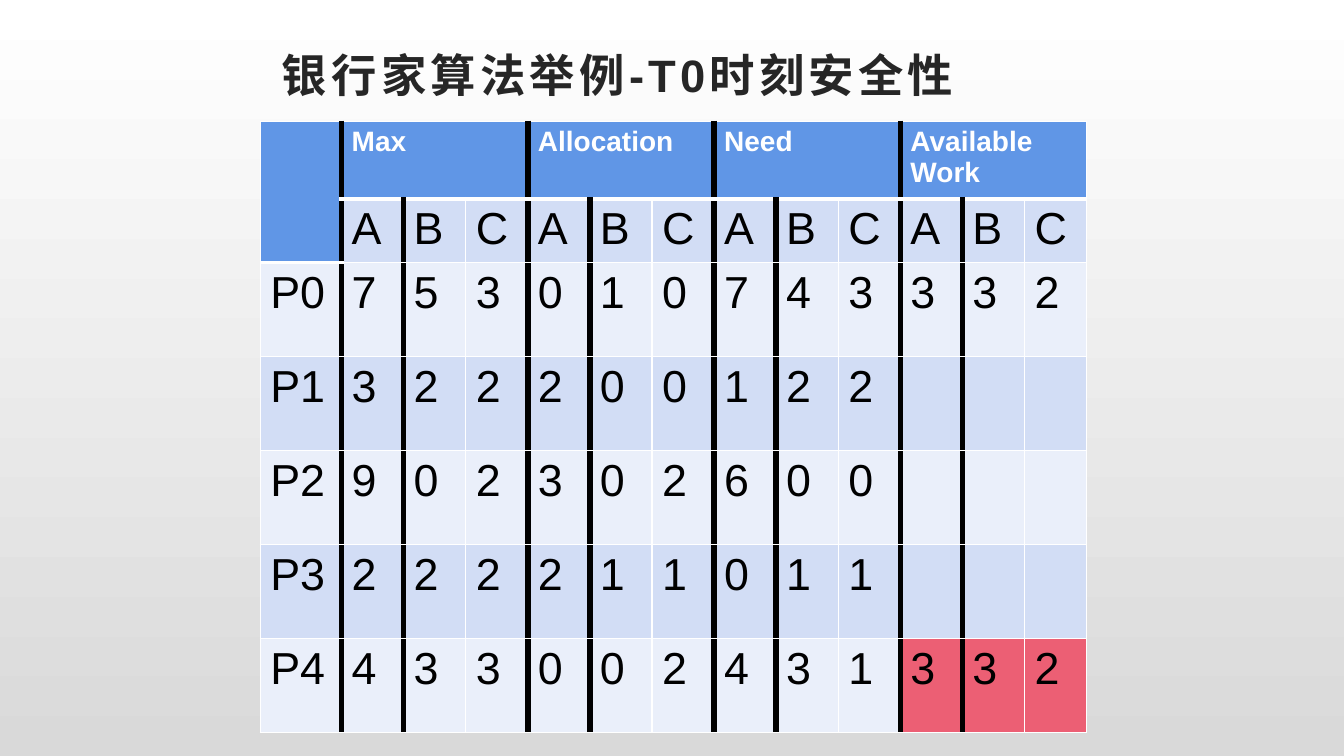
"""Build the slide on the banker's algorithm and its safety at time T0."""
from dataclasses import dataclass

from lxml import etree
from pptx import Presentation
from pptx.dml.color import RGBColor
from pptx.enum.text import MSO_ANCHOR
from pptx.oxml.ns import qn
from pptx.slide import Slide
from pptx.table import Table, _Cell
from pptx.text.text import TextFrame
from pptx.util import Inches, Pt

MIDDLE = MSO_ANCHOR.MIDDLE
WIDE, HIGH = Inches(13.33), Inches(7.5)
COL, ROW = WIDE / 21.64, HIGH / 8.04
HUES = {
    "white": "FFFFFF", "black": "000000", "grey": "D9D9D9", "ink": "262626",
    "blue": "6096E6", "dark": "D2DDF5", "light": "EAEFFA", "red": "EC5F74",
}
KEYS = "ABC"
TASKS = ["P0", "P1", "P2", "P3", "P4"]
SPAN = len(KEYS)


@dataclass
class Group:
    """A headed block of three columns, with one string of digits per task."""
    head: str
    rows: list[str]


GROUPS = [
    Group("Max", ["753", "322", "902", "222", "433"]),
    Group("Allocation", ["010", "200", "302", "211", "002"]),
    Group("Need", ["743", "122", "600", "011", "431"]),
    Group("Available\nWork", ["332", "", "", "", "332"]),
]
LAST = 1 + SPAN * len(GROUPS)


def cols(count: float) -> int:
    """Turn grid columns into a length."""
    return round(count * COL)


def rows(count: float) -> int:
    """Turn grid rows into a length."""
    return round(count * ROW)


def tint(name: str) -> RGBColor:
    """Look up a colour."""
    return RGBColor.from_string(HUES[name])


def write(frame: TextFrame, text: str, *, size: float = 32, hue: str = "black",
          bold: bool = False, gap: int = 0) -> None:
    """Put text in a frame, one paragraph a line."""
    frame.text = text
    for para in frame.paragraphs:
        for run in para.runs:
            font = run.font
            font.name, font.size, font.bold = "Arial", Pt(size), bold
            font.color.rgb = tint(hue)
            if gap:
                font._element.set("spc", str(gap * 100))


def edge(cell: _Cell, side: str, hue: str, size: float) -> None:
    """Draw one border of a cell."""
    line = etree.SubElement(cell._tc.get_or_add_tcPr(), qn(f"a:ln{side}"),
                            w=str(Pt(size)))
    fill = etree.SubElement(line, qn("a:solidFill"))
    etree.SubElement(fill, qn("a:srgbClr"), val=HUES[hue])


def rule_down(row: int, pos: int) -> tuple[str, float]:
    """Give the colour and width of the upright rule at a column edge."""
    part = pos % SPAN
    thick = 0 < pos < LAST and (part == 1 or part == 2 and row > 0)
    return ("black", 4.5) if thick else ("white", 1)


def rule_flat(pos: int, col: int) -> tuple[str, float]:
    """Give the colour and width of the level rule at a row edge."""
    return "white", 3 if pos == (1 if col else 2) else 1


def shade(row: int, col: int) -> str:
    """Choose the fill of a cell."""
    if row == 0 or (row == 1 and col == 0):
        return "blue"
    if row == len(TASKS) + 1 and col >= LAST - SPAN:
        return "red"
    return "dark" if row % 2 else "light"


def style(grid: Table) -> None:
    """Set the borders and fill of every cell."""
    for row in range(len(grid.rows)):
        for col in range(LAST):
            cell = grid.cell(row, col)
            edge(cell, "L", *rule_down(row, col))
            edge(cell, "R", *rule_down(row, col + 1))
            edge(cell, "T", *rule_flat(row, col))
            edge(cell, "B", *rule_flat(row + 1, col))
            cell.fill.solid()
            cell.fill.fore_color.rgb = tint(shade(row, col))


def fill_in(grid: Table) -> None:
    """Merge the heads and write all the text."""
    grid.cell(0, 0).merge(grid.cell(1, 0))
    for row, task in enumerate(TASKS, 2):
        write(grid.cell(row, 0).text_frame, task)
    for num, group in enumerate(GROUPS):
        left = 1 + num * SPAN
        head = grid.cell(0, left)
        head.merge(grid.cell(0, left + SPAN - 1))
        write(head.text_frame, group.head, size=20, hue="white", bold=True)
        for row, line in enumerate([KEYS, *group.rows], 1):
            for col, mark in enumerate(line, left):
                write(grid.cell(row, col).text_frame, mark)


def add_grid(slide: Slide) -> None:
    """Add the table of needs."""
    wide = [1.31] + [1] * (LAST - 1)
    high = [0.82, 0.68] + [1] * len(TASKS)
    grid = slide.shapes.add_table(len(high), LAST, cols(4.19), rows(1.29),
                                  cols(sum(wide)), rows(sum(high))).table
    grid.first_row = grid.horz_banding = False
    for col, size in zip(grid.columns, wide):
        col.width = cols(size)
    for row, size in zip(grid.rows, high):
        row.height = rows(size)
    style(grid)
    fill_in(grid)


def add_title(slide: Slide) -> None:
    """Add the title."""
    box = slide.shapes.add_textbox(cols(4.38), rows(0.43), cols(12.9), rows(0.73))
    frame = box.text_frame
    frame.word_wrap, frame.vertical_anchor = True, MIDDLE
    write(frame, "银行家算法举例-T0时刻安全性", size=32.4, hue="ink", bold=True, gap=3)


def paint(slide: Slide) -> None:
    """Shade the background from white down to grey."""
    fill = slide.background.fill
    fill.gradient()
    fill.gradient_angle = 270
    for stop, hue, pos in zip(fill.gradient_stops, ("white", "grey"), (0, 1)):
        stop.color.rgb, stop.position = tint(hue), pos


def main() -> None:
    """Build and save the deck."""
    deck = Presentation()
    deck.slide_width, deck.slide_height = WIDE, HIGH
    slide = deck.slides.add_slide(deck.slide_layouts[6])
    paint(slide)
    add_title(slide)
    add_grid(slide)
    deck.save("out.pptx")


if __name__ == "__main__":
    main()
